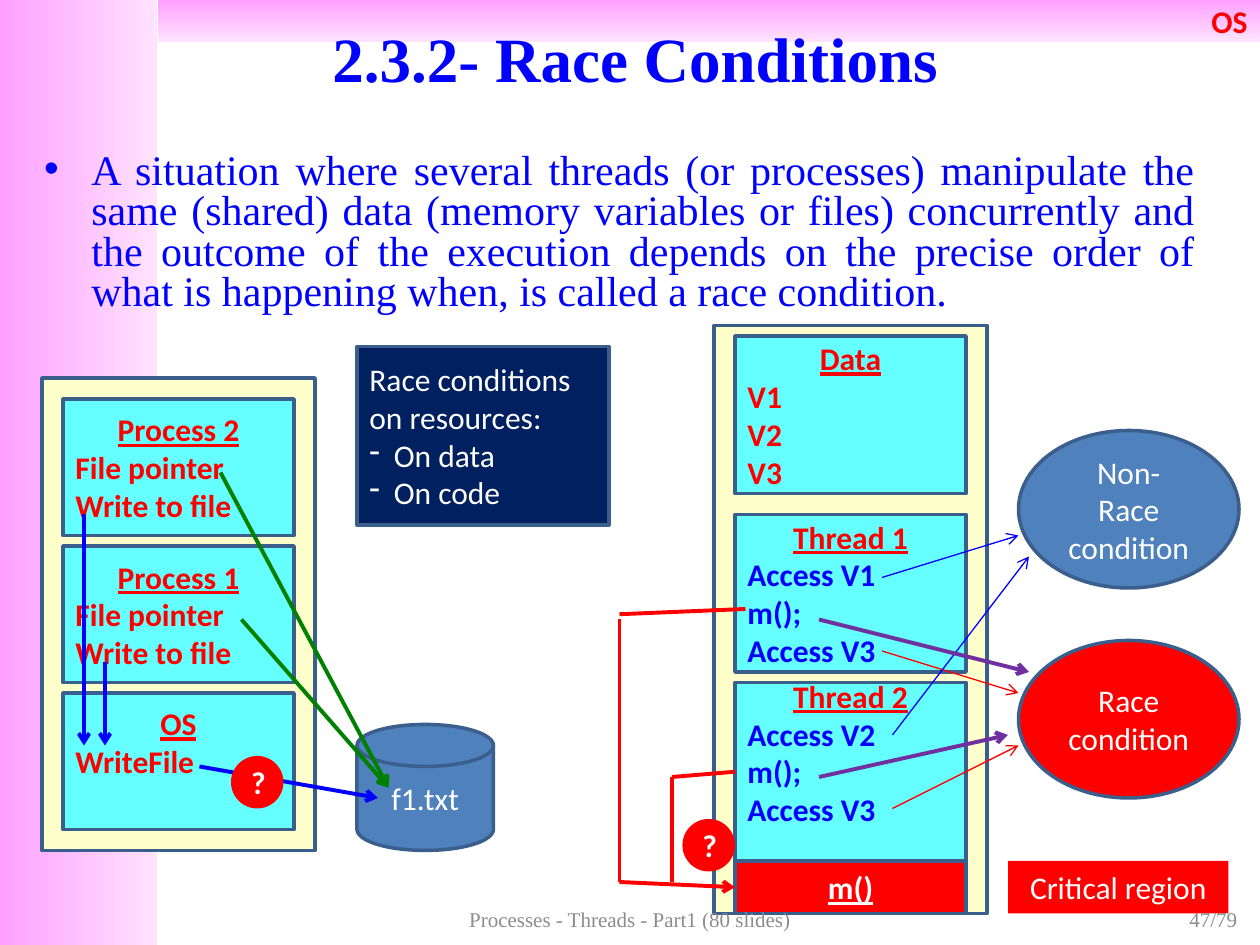
from lxml import etree
from pptx import Presentation
from pptx.dml.color import RGBColor
from pptx.enum import shapes, text
from pptx.oxml import ns
from pptx.util import Pt

RED = RGBColor(0xFF, 0, 0)
BLUE = RGBColor(0, 0, 0xFF)
GREEN = RGBColor(0, 0x80, 0)
PURPLE = RGBColor(0x70, 0x30, 0xA0)
WHITE = RGBColor(0xFF, 0xFF, 0xFF)
GREY = RGBColor(0x8C, 0x8C, 0x8C)
NAVY = RGBColor(0, 0x20, 0x60)
STEEL = RGBColor(0x4F, 0x81, 0xBD)
OUTLINE = RGBColor(0x3A, 0x5F, 0x8C)
CREAM = RGBColor(0xFF, 0xFF, 0xCC)
CYAN = RGBColor(0x66, 0xFF, 0xFF)
PINK = RGBColor(0xFF, 0xA0, 0xFF)
PALE_PINK = RGBColor(0xFF, 0xE3, 0xFF)

SANS, SERIF = "Calibri", "Times New Roman"
RECT, OVAL = shapes.MSO_SHAPE.RECTANGLE, shapes.MSO_SHAPE.OVAL
DISK = shapes.MSO_SHAPE.FLOWCHART_MAGNETIC_DISK
LEFT, CENTER, RIGHT = text.PP_ALIGN.LEFT, text.PP_ALIGN.CENTER, text.PP_ALIGN.RIGHT

# Content: all lengths in points
TITLE = "2.3.2- Race Conditions"
DEFINITION = (
    "A situation where several threads (or processes) manipulate the same (shared) "
    "data (memory variables or files) concurrently and the outcome of the execution "
    "depends on the precise order of what is happening when, is called a race condition.")

PANELS = [(24, 216, 156, 270), (408, 186, 156, 336)]
PROCESS_LEFT, PROCESS_TOP, PROCESS_STEP, PROCESS_HEIGHT = 36, 228, 84, 78
THREAD_LEFT, BLOCK_WIDTH = 420, 132
LINE_HEIGHT = 22

# heading, lines, empty lines kept free at the bottom
PROCESSES = [
    ("Process 2", ["File pointer", "Write to file"], 0),
    ("Process 1", ["File pointer", "Write to file"], 0),
    ("OS", ["WriteFile"], 1),
]
# top, height, heading, lines, line colour, free lines
THREADS = [
    (192, 90, "Data", ["V1", "V2", "V3"], RED, 0),
    (294, 90, "Thread 1", ["Access V1", "m();", "Access V3"], BLUE, 0),
    (390, 102, "Thread 2", ["Access V2", "m();", "Access V3"], BLUE, 1),
]
# kind, place, fill, outlined, lines
LABELS = [
    (DISK, (204, 414, 78, 72), STEEL, True, ["f1.txt"]),
    (OVAL, (582, 246, 126, 90), STEEL, True, ["Non-", "Race", "condition"]),
    (OVAL, (582, 366, 126, 90), RED, True, ["Race", "condition"]),
    (RECT, (576, 492, 126, 30), RED, False, ["Critical region"]),
]
BADGES = [(132, 432, 30, 30), (390, 468, 30, 30)]
RESOURCES = ["Race conditions on resources:", "On data", "On code"]

# colour, width, arrowhead, (x1, y1, x2, y2) of each line
LINES = [
    (GREEN, 2.25, True, [(126, 270, 222, 450), (138, 354, 222, 450)]),
    (BLUE, 2.25, True, [(48, 294, 48, 426), (60, 378, 60, 426), (114, 438, 216, 456)]),
    (RED, 0.75, True, [(504, 372, 582, 396), (510, 462, 582, 426)]),
    (BLUE, 0.75, True, [(504, 330, 582, 306), (510, 420, 588, 318)]),
    (PURPLE, 2.25, True, [(468, 444, 576, 420), (468, 354, 588, 384)]),
    (RED, 2.25, True, [(354, 504, 420, 507)]),
    (RED, 2.25, False, [(384, 504, 384, 444), (384, 444, 420, 441),
                        (354, 504, 354, 354), (354, 351, 426, 348)]),
]
FOOTERS = [
    ("47/79", (546, 516, 168, 19), RIGHT),
    ("Processes - Threads - Part1 (80 slides)", (246, 516, 228, 19), CENTER),
]

deck = Presentation()
deck.slide_width, deck.slide_height = Pt(720), Pt(540)
page = deck.slides.add_slide(deck.slide_layouts[1])


def points(values):
    return [Pt(value) for value in values]


def place(shape, area):
    shape.left, shape.top, shape.width, shape.height = points(area)


def style(para, color, size=18, name=SANS, bold=False, underline=False, align=CENTER):
    para.alignment = align
    font = para.font
    font.size, font.name, font.bold, font.underline = Pt(size), name, bold, underline
    font.color.rgb = color


def bullet(para, mark, indent):
    props = para._p.get_or_add_pPr()
    props.set("marL", str(Pt(indent)))
    props.set("indent", str(-Pt(indent)))
    etree.SubElement(props, ns.qn("a:buChar")).set("char", mark)


def add_box(kind, area, fill, outlined=True):
    box = page.shapes.add_shape(kind, *points(area))
    box.shadow.inherit = False
    box.fill.solid()
    box.fill.fore_color.rgb = fill
    if outlined:
        box.line.color.rgb = OUTLINE
        box.line.width = Pt(2)
    else:
        box.line.fill.background()
    return box


def write(box, lines):
    frame = box.text_frame
    frame.word_wrap = True
    frame.vertical_anchor = text.MSO_ANCHOR.MIDDLE
    frame.text = "\n".join(lines)
    return frame.paragraphs


def add_block(area, heading, lines, color, free_lines):
    box = add_box(RECT, area, CYAN)
    head, *rest = write(box, [heading] + lines)
    box.text_frame.margin_bottom = Pt(3.6 + free_lines * LINE_HEIGHT)
    style(head, RED, bold=True, underline=True)
    for para in rest:
        style(para, color, bold=True, align=LEFT)


def add_line(ends, color, width, arrow):
    line = page.shapes.add_connector(shapes.MSO_CONNECTOR.STRAIGHT, *points(ends))
    line.line.color.rgb = color
    line.line.width = Pt(width)
    if arrow:
        etree.SubElement(line.line._get_or_add_ln(), ns.qn("a:tailEnd")).set("type", "arrow")
    etree.SubElement(line.element.spPr, ns.qn("a:effectLst"))


# Title and definition
title, body = page.shapes.title, page.placeholders[1]
place(title, (48, 0, 672, 66))
title.width = Pt(630)
style(write(title, [TITLE])[0], BLUE, 36, SERIF, bold=True)
place(body, (18, 84, 672, 102))
para = write(body, [DEFINITION])[0]
body.text_frame.vertical_anchor = text.MSO_ANCHOR.TOP
body.text_frame.auto_size = text.MSO_AUTO_SIZE.NONE
para.line_spacing = 0.8
para.space_before = Pt(0)
bullet(para, "•", 27)
style(para, BLUE, 24, SERIF, align=text.PP_ALIGN.JUSTIFY)

# Gradient bands behind everything
for area, angle, label in [((0, 0, 90, 540), 0, ""), ((90, 0, 630, 24), 270, "OS")]:
    band = add_box(RECT, area, PINK, outlined=False)
    band.fill.gradient()
    band.fill.gradient_angle = angle
    for stop, color in zip(band.fill.gradient_stops, (PINK, PALE_PINK)):
        stop.color.rgb = color
    if label:
        style(write(band, [label])[0], RED, bold=True, align=RIGHT)
    title.element.addprevious(band.element)

# Process and thread stacks
for area in PANELS:
    add_box(RECT, area, CREAM)
for row, (heading, lines, free) in enumerate(PROCESSES):
    area = (PROCESS_LEFT, PROCESS_TOP + row * PROCESS_STEP, BLOCK_WIDTH, PROCESS_HEIGHT)
    add_block(area, heading, lines, RED, free)
for top, height, heading, lines, color, free in THREADS:
    add_block((THREAD_LEFT, top, BLOCK_WIDTH, height), heading, lines, color, free)
method = add_box(RECT, (THREAD_LEFT, 492, BLOCK_WIDTH, 30), RED)
style(write(method, ["m()"])[0], WHITE, bold=True, underline=True)

# File, outcomes and critical region
for kind, area, fill, outlined, lines in LABELS:
    for para in write(add_box(kind, area, fill, outlined), lines):
        style(para, WHITE)

# Lines, with the question badges over them
for color, width, arrow, runs in LINES:
    for ends in runs:
        add_line(ends, color, width, arrow)
for area in BADGES:
    style(write(add_box(OVAL, area, RED, outlined=False), ["?"])[0], WHITE, bold=True)

# Resource note
note = add_box(RECT, (204, 198, 144, 102), NAVY)
for index, para in enumerate(write(note, RESOURCES)):
    if index:
        bullet(para, "-", 14)
    style(para, WHITE, align=LEFT)

# Footer
for label, area, align in FOOTERS:
    box = page.shapes.add_textbox(*points(area))
    style(write(box, [label])[0], GREY, 12, SERIF, align=align)

deck.save("out.pptx")
